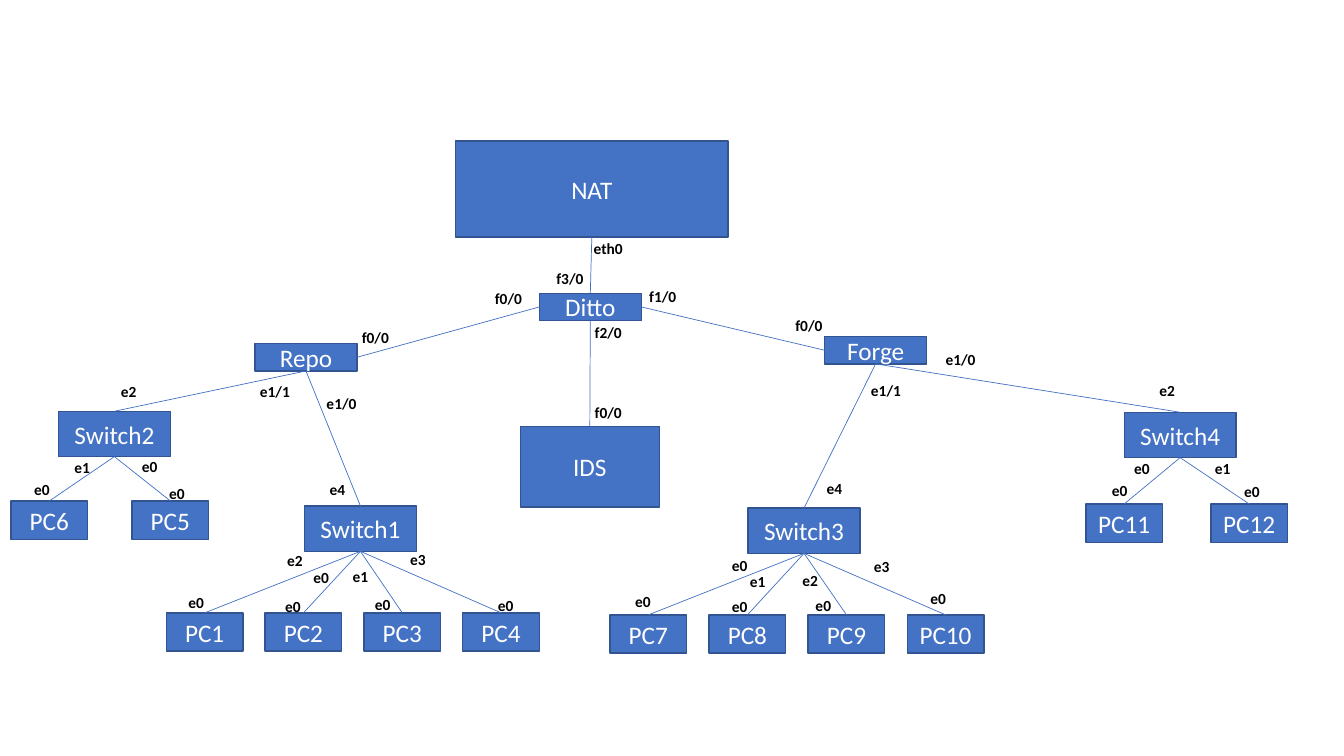
"""Draw a network tree of routers, switches and PCs with labelled ports."""
from lxml import etree
from pptx import Presentation
from pptx.dml.color import RGBColor
from pptx.enum.shapes import MSO_CONNECTOR, MSO_SHAPE
from pptx.enum.text import MSO_ANCHOR, MSO_AUTO_SIZE, PP_ALIGN
from pptx.oxml.ns import qn
from pptx.util import Inches, Pt

RECTANGLE = MSO_SHAPE.RECTANGLE
STRAIGHT = MSO_CONNECTOR.STRAIGHT
MIDDLE = MSO_ANCHOR.MIDDLE
GROW = MSO_AUTO_SIZE.SHAPE_TO_FIT_TEXT
CENTER = PP_ALIGN.CENTER

TOP, LEFT, BOTTOM, RIGHT = range(4)
COLUMNS, ROWS = 133.3, 75
SLIDE_WIDTH, SLIDE_HEIGHT = Inches(13.33), Inches(7.5)
BLANK_LAYOUT = 6

COLORS = {"fill": "4472C4", "border": "325491", "link": "4472C4",
          "device": "FFFFFF", "port": "000000"}
FONTS = {
    "device": {"name": "Calibri", "size": Pt(18), "bold": False},
    "port": {"name": "Calibri", "size": Pt(11), "bold": True},
}
SIZES = {"cloud": (27, 9.5), "router": (10.1, 2.7), "sensor": (13.8, 8),
         "switch": (11.1, 4.5), "pc": (7.6, 3.8)}
PORT_SIZE = (7.6, 2.9)

DEVICES = [
    ("NAT", "cloud", 45.2, 14),
    ("Ditto", "router", 53.5, 29.1),
    ("Repo", "router", 25.3, 34.1),
    ("Forge", "router", 81.8, 33.4),
    ("IDS", "sensor", 51.6, 42.3),
    ("Switch1", "switch", 30.2, 50.2),
    ("Switch2", "switch", 5.8, 40.8),
    ("Switch3", "switch", 74.2, 50.4),
    ("Switch4", "switch", 111.5, 40.9),
]
PC_ROWS = [
    (("PC1", "PC2", "PC3", "PC4"), 16.5, 60.8, 9.8),
    (("PC6", "PC5"), 1.1, 49.7, 12),
    (("PC7", "PC8", "PC9", "PC10"), 60.5, 61, 9.83),
    (("PC11", "PC12"), 107.7, 50, 12.4),
]
DOWN, WEST, EAST = (BOTTOM, TOP), (LEFT, RIGHT), (RIGHT, LEFT)
LINKS = [
    ("NAT", "Ditto", DOWN, ("eth0", 57.9, 23.2), ("f3/0", 54.2, 26.2)),
    ("Ditto", "Repo", WEST, ("f0/0", 48.1, 28.2), ("f0/0", 34.9, 32.1)),
    ("Ditto", "Forge", EAST, ("f1/0", 63.4, 28), ("f0/0", 77.9, 30.9)),
    ("Ditto", "IDS", DOWN, ("f2/0", 58, 31.6), ("f0/0", 58, 39.5)),
    ("Repo", "Switch2", DOWN, ("e1/1", 24.8, 37.4), ("e2", 11, 37.4)),
    ("Repo", "Switch1", DOWN, ("e1/0", 31.4, 38.6), ("e4", 31.7, 47.1)),
    ("Forge", "Switch3", DOWN, ("e1/1", 85.4, 37.3), ("e4", 81, 47)),
    ("Forge", "Switch4", DOWN, ("e1/0", 92.8, 34.2), ("e2", 114, 37.3)),
    ("Switch2", "PC6", DOWN, ("e1", 6.4, 45), ("e0", 2.4, 47.1)),
    ("Switch2", "PC5", DOWN, ("e0", 13.1, 44.9), ("e0", 15.8, 47.5)),
    ("Switch1", "PC1", DOWN, ("e2", 27.5, 54.2), ("e0", 17.7, 58.3)),
    ("Switch1", "PC2", DOWN, ("e0", 30.1, 55.9), ("e0", 27.3, 58.7)),
    ("Switch1", "PC3", DOWN, ("e1", 34, 55.8), ("e0", 36.2, 58.5)),
    ("Switch1", "PC4", DOWN, ("e3", 39.7, 54.1), ("e0", 48.4, 58.6)),
    ("Switch3", "PC7", DOWN, ("e0", 71.6, 54.7), ("e0", 62, 58.2)),
    ("Switch3", "PC8", DOWN, ("e1", 73.4, 56.3), ("e0", 71.6, 58.7)),
    ("Switch3", "PC9", DOWN, ("e2", 78.6, 56.2), ("e0", 79.9, 58.6)),
    ("Switch3", "PC10", DOWN, ("e3", 85.7, 54.8), ("e0", 91.3, 57.9)),
    ("Switch4", "PC11", DOWN, ("e0", 111.5, 45.1), ("e0", 109.3, 47.2)),
    ("Switch4", "PC12", DOWN, ("e1", 119.5, 45.1), ("e0", 122.4, 47.3)),
]


def color(role):
    """Return the colour of a role."""
    return RGBColor.from_string(COLORS[role])


def place(left, top, size):
    """Turn grid columns and rows into a position and size on the slide."""
    width, height = size
    return (round(SLIDE_WIDTH * left / COLUMNS), round(SLIDE_HEIGHT * top / ROWS),
            round(SLIDE_WIDTH * width / COLUMNS), round(SLIDE_HEIGHT * height / ROWS))


def write(box, text, role):
    """Write one formatted line into a box and return its paragraph."""
    box.text_frame.word_wrap = True
    para = box.text_frame.paragraphs[0]
    span = para.add_run()
    span.text = text
    for attribute, value in FONTS[role].items():
        setattr(span.font, attribute, value)
    span.font.color.rgb = color(role)
    return para


def add_device(page, name, kind, left, top):
    """Add the named rectangle of a device."""
    box = page.shapes.add_shape(RECTANGLE, *place(left, top, SIZES[kind]))
    box.shadow.inherit = False
    box.fill.solid()
    box.fill.fore_color.rgb = color("fill")
    box.line.color.rgb = color("border")
    box.line.width = Pt(1)
    box.text_frame.vertical_anchor = MIDDLE
    write(box, name, "device").alignment = CENTER
    return box


def add_port(page, name, left, top):
    """Add the label of a port."""
    box = page.shapes.add_textbox(*place(left, top, PORT_SIZE))
    write(box, name, "port")
    box.text_frame.auto_size = GROW


def add_link(page, parent, child, sides):
    """Join two devices with a thin line glued to their sides."""
    link = page.shapes.add_connector(STRAIGHT, 0, 0, 0, 0)
    link.begin_connect(parent, sides[0])
    link.end_connect(child, sides[1])
    link.line.color.rgb = color("link")
    link.line.width = Pt(0.5)
    etree.SubElement(link._element.spPr, qn("a:effectLst"))


def main():
    """Build the network slide and save the deck."""
    deck = Presentation()
    deck.slide_width, deck.slide_height = SLIDE_WIDTH, SLIDE_HEIGHT
    page = deck.slides.add_slide(deck.slide_layouts[BLANK_LAYOUT])
    boxes = {device[0]: add_device(page, *device) for device in DEVICES}
    for names, left, top, step in PC_ROWS:
        for index, name in enumerate(names):
            boxes[name] = add_device(page, name, "pc", left + index * step, top)
    for parent, child, sides, *ports in LINKS:
        add_link(page, boxes[parent], boxes[child], sides)
        for port in ports:
            add_port(page, *port)
    deck.save("out.pptx")


if __name__ == "__main__":
    main()
